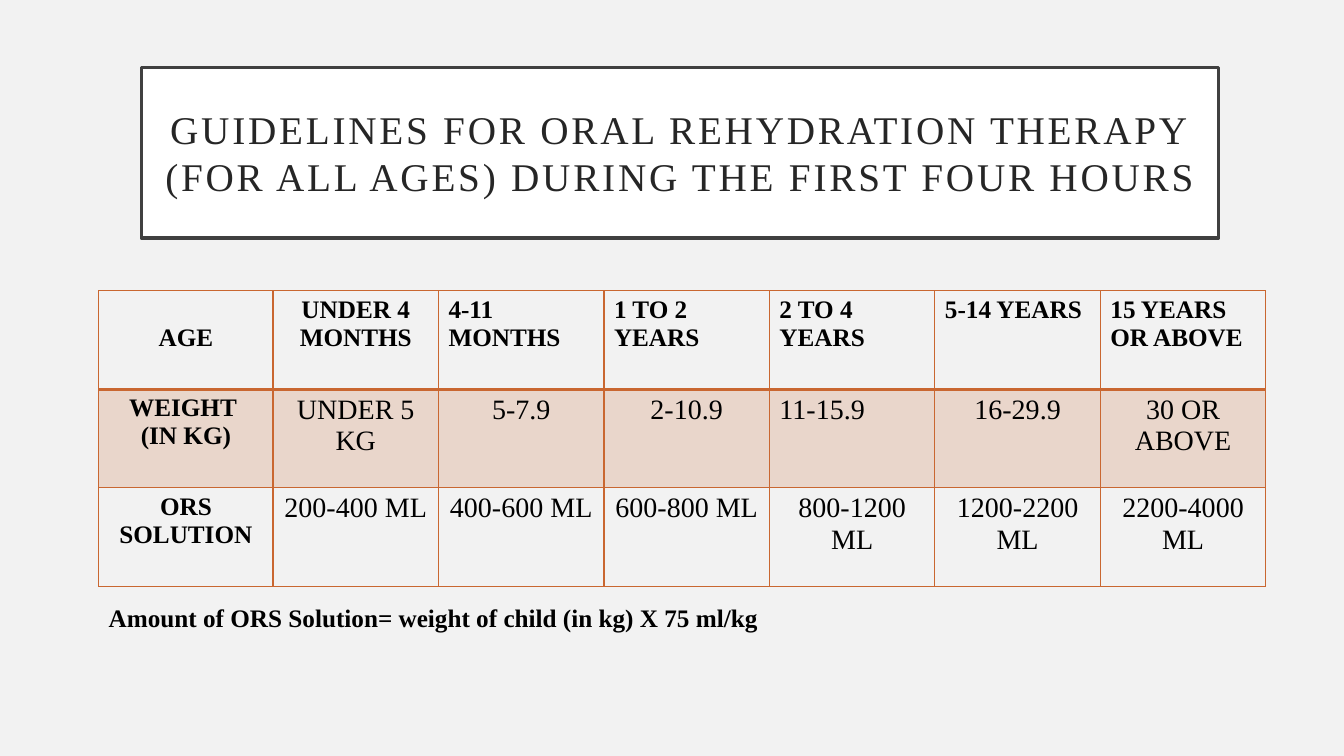
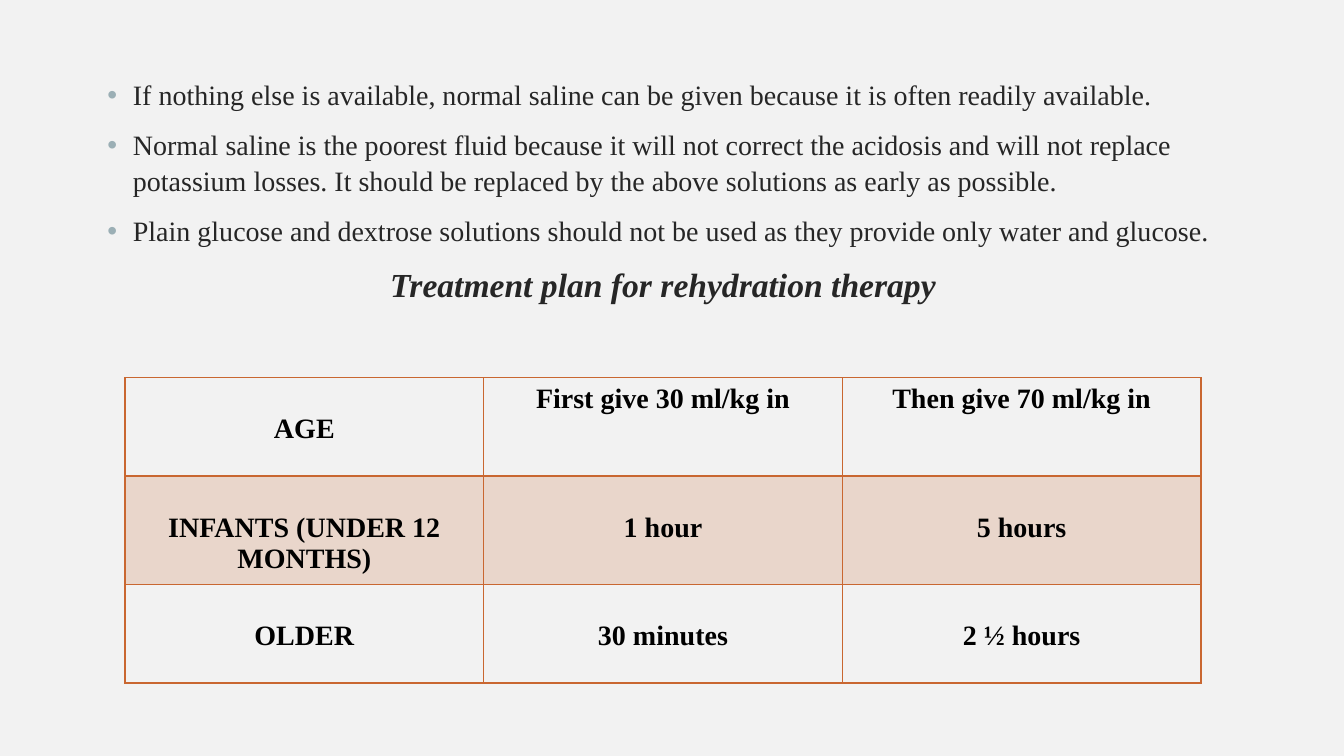
from lxml import etree
from pptx import Presentation
from pptx.dml.color import RGBColor
from pptx.enum.text import MSO_ANCHOR, PP_ALIGN
from pptx.oxml.ns import qn
from pptx.util import Cm, Pt

FONT = "Times New Roman"
COLORS = {
    "background": "F2F2F2",
    "panel": "FFFFFF",
    "frame": "404040",
    "body": "262626",
    "table": "000000",
    "accent": "C96731",
    "bullet": "9BAFB5",
}
TITLE_ONLY, BLANK = 5, 6
CELL_MARGIN = 0.13
LINE_HEIGHT = 0.039  # cm of line height for each point of type


def rgb(name):
    return RGBColor.from_string(COLORS[name])


def style(paragraph, size, color, bold=False, italic=False):
    for run in paragraph.runs:
        font = run.font
        font.name, font.size = FONT, Pt(size)
        font.bold, font.italic = bold, italic
        font.color.rgb = rgb(color)


def add_title(slide, text):
    """Framed white panel with widely spaced capitals."""
    title = slide.shapes.title
    title.left, title.top = Cm(3.56), Cm(1.7)
    title.width, title.height = Cm(27.15), Cm(4.3)
    title.fill.solid()
    title.fill.fore_color.rgb = rgb("panel")
    title.line.color.rgb = rgb("frame")
    title.line.width = Pt(2.5)
    frame = title.text_frame
    frame.text = text
    frame.word_wrap = True
    frame.vertical_anchor = MSO_ANCHOR.MIDDLE
    frame.margin_left = frame.margin_right = Cm(0.5)
    frame.margin_top = frame.margin_bottom = Cm(0.5)
    heading = frame.paragraphs[0]
    heading.alignment = PP_ALIGN.CENTER
    heading.line_spacing = 1.0
    style(heading, 28, "body")
    for run in heading.runs:
        run.font._element.set("spc", "200")


def add_text(slide, left, top, width, height):
    frame = slide.shapes.add_textbox(Cm(left), Cm(top), Cm(width), Cm(height)).text_frame
    frame.word_wrap = True
    return frame


def add_bullet(paragraph):
    properties = paragraph._p.get_or_add_pPr()
    properties.set("marL", str(Cm(0.64)))
    properties.set("indent", str(-Cm(0.64)))
    color = etree.SubElement(properties, qn("a:buClr"))
    etree.SubElement(color, qn("a:srgbClr"), val=COLORS["bullet"])
    etree.SubElement(properties, qn("a:buFont"), typeface="Arial")
    etree.SubElement(properties, qn("a:buChar"), char="•")


def add_border(cell, side, width):
    line = etree.SubElement(cell._tc.get_or_add_tcPr(), qn(f"a:ln{side}"), w=str(Pt(width)))
    fill = etree.SubElement(line, qn("a:solidFill"))
    etree.SubElement(fill, qn("a:srgbClr"), val=COLORS["accent"])


def tint(cell):
    """Accent fill at 20 % opacity."""
    cell.fill.solid()
    cell.fill.fore_color.rgb = rgb("accent")
    color = cell._tc.tcPr.find(f"{qn('a:solidFill')}/{qn('a:srgbClr')}")
    etree.SubElement(color, qn("a:alpha"), val="20000")


def add_grid(slide, left, top, widths, heights, rows, label_size, value_size,
             bold_values, left_aligned=(), lowered=()):
    """Ruled table with a heavy line under the header and a tinted second row.

    Cells in lowered start one text line further down.
    """
    table = slide.shapes.add_table(
        len(rows), len(widths), Cm(left), Cm(top), Cm(sum(widths)), Cm(sum(heights))
    ).table
    table.first_row = table.horz_banding = False
    for column, width in zip(table.columns, widths):
        column.width = Cm(width)
    for r, (texts, height) in enumerate(zip(rows, heights)):
        table.rows[r].height = Cm(height)
        for c, text in enumerate(texts):
            cell = table.cell(r, c)
            cell.text = text
            is_label = r == 0 or c == 0
            size = label_size if is_label else value_size
            drop = size * LINE_HEIGHT if (r, c) in lowered else 0
            cell.margin_top = Cm(CELL_MARGIN + drop)
            for paragraph in cell.text_frame.paragraphs:
                paragraph.alignment = (
                    PP_ALIGN.LEFT if (r, c) in left_aligned else PP_ALIGN.CENTER
                )
                style(paragraph, size, "table", bold=is_label or bold_values)
            for side, width in (("L", 1), ("R", 1), ("T", 2 if r == 1 else 1),
                                ("B", 2 if r == 0 else 1)):
                add_border(cell, side, width)
            if r == 1:
                tint(cell)
            else:
                cell.fill.background()


def build_guidelines(prs):
    slide = prs.slides.add_slide(prs.slide_layouts[TITLE_ONLY])
    add_title(slide, "GUIDELINES FOR ORAL REHYDRATION THERAPY "
                     "(FOR ALL AGES) DURING THE FIRST FOUR HOURS")

    # Amounts by age and weight
    doses = [
        ["AGE", "UNDER 4 MONTHS", "4-11 MONTHS", "1 TO 2 YEARS", "2 TO 4 YEARS",
         "5-14 YEARS", "15 YEARS OR ABOVE"],
        ["WEIGHT \n(IN KG)", "UNDER 5 KG", "5-7.9", "2-10.9", "11-15.9", "16-29.9",
         "30 OR ABOVE"],
        ["ORS SOLUTION", "200-400 ML", "400-600 ML", "600-800 ML", "800-1200 ML",
         "1200-2200 ML", "2200-4000 ML"],
    ]
    add_grid(slide, 2.49, 7.33, [4.39] + [4.17] * 6, [2.48] * 3, doses, 18, 20, False,
             left_aligned={(0, c) for c in range(2, 7)} | {(1, 4)}, lowered={(0, 0)})

    # Formula
    formula = add_text(slide, 2.49, 15.06, 27.74, 1.02).paragraphs[0]
    formula.text = "Amount of ORS Solution= weight of child (in kg) X 75 ml/kg"
    style(formula, 18, "table", bold=True)


def build_treatment_plan(prs):
    slide = prs.slides.add_slide(prs.slide_layouts[BLANK])

    # Advice on fluids, then the table heading
    advice = [
        "If nothing else is available, normal saline can be given because it is often "
        "readily available.",
        "Normal saline is the poorest fluid because it will not correct the acidosis and "
        "will not replace potassium losses. It should be replaced by the above solutions "
        "as early as possible.",
        "Plain glucose and dextrose solutions should not be used as they provide only "
        "water and glucose.",
    ]
    frame = add_text(slide, 2.46, 1.78, 28.5, 6.5)
    frame.text = "\n".join(advice + ["Treatment plan for rehydration therapy"])
    *points, heading = frame.paragraphs
    for point in points:
        add_bullet(point)
        style(point, 20, "body")
    heading.alignment = PP_ALIGN.CENTER
    style(heading, 24, "body", bold=True, italic=True)
    for paragraph in frame.paragraphs:
        paragraph.line_spacing = 1.07
    for paragraph in frame.paragraphs[1:]:
        paragraph.space_before = Pt(10)

    # Two-step plan by age
    plan = [
        ["AGE", "First give 30 ml/kg in", "Then give 70 ml/kg in"],
        ["INFANTS (UNDER 12 MONTHS)", "1 hour", "5 hours"],
        ["OLDER", "30 minutes", "2 ½ hours"],
    ]
    lowered = {(r, c) for r in range(3) for c in range(3)} - {(0, 1), (0, 2)}
    add_grid(slide, 3.15, 9.52, [9.04] * 3, [2.48, 2.66, 2.48], plan, 20, 20, True,
             lowered=lowered)


def main():
    prs = Presentation()
    prs.slide_width, prs.slide_height = Cm(33.87), Cm(19.05)
    background = prs.slide_master.background.fill
    background.solid()
    background.fore_color.rgb = rgb("background")
    build_guidelines(prs)
    build_treatment_plan(prs)
    prs.save("out.pptx")


if __name__ == "__main__":
    main()
